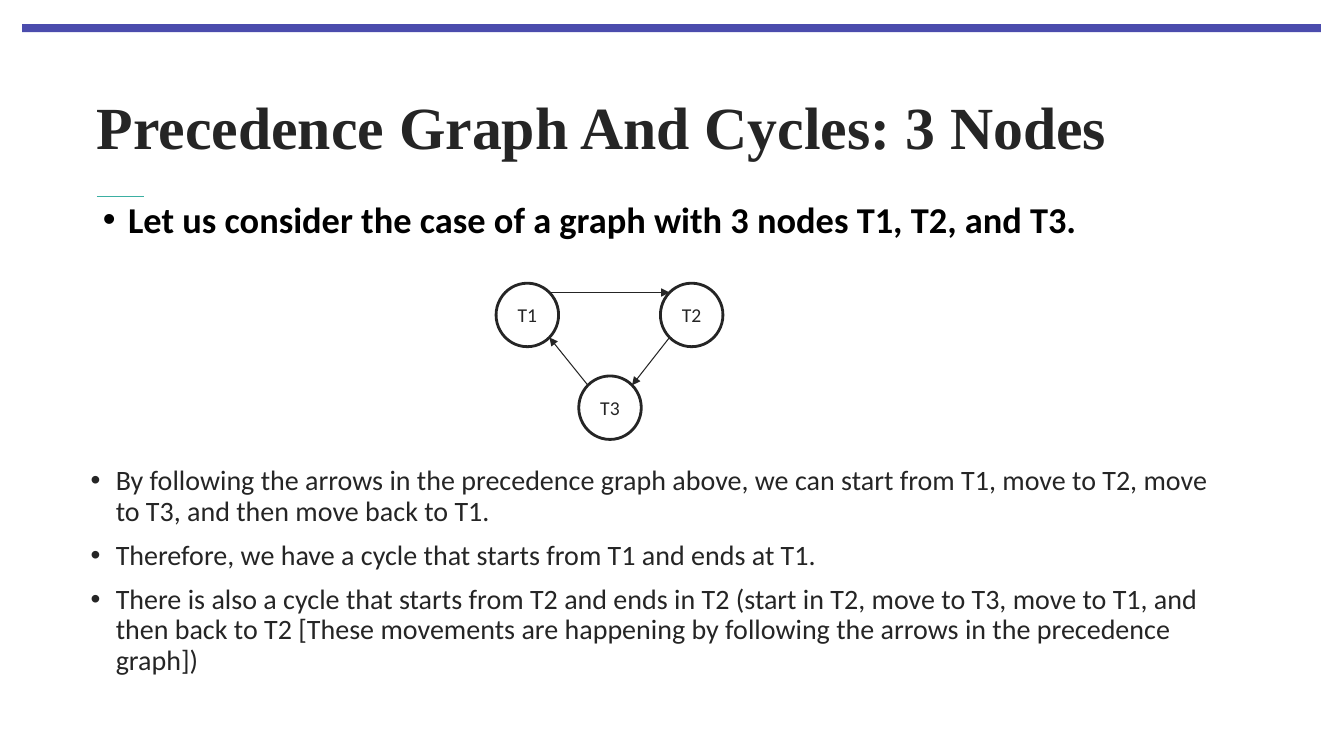
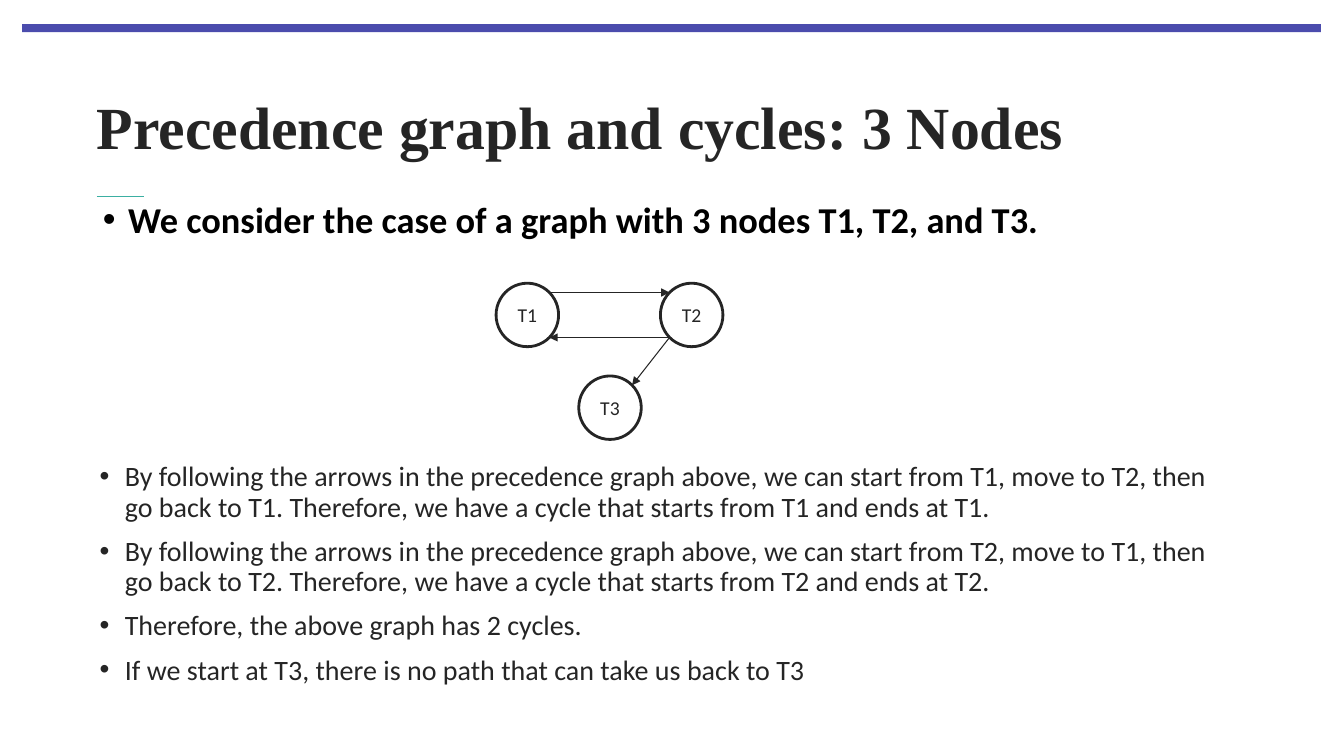
from math import sqrt
from lxml.etree import SubElement
from pptx import Presentation
from pptx.dml.color import RGBColor
from pptx.enum.shapes import MSO_CONNECTOR as Conn, MSO_SHAPE as Shape
from pptx.enum.text import MSO_ANCHOR as Anchor, MSO_AUTO_SIZE as Fit, PP_ALIGN as Align
from pptx.oxml.ns import qn
from pptx.util import Inches, Pt

# Shared colours and fonts
INK = RGBColor(0x25, 0x25, 0x25)
BLACK = RGBColor(0, 0, 0)
BAND = RGBColor(0x4B, 0x4C, 0xAD)
TEAL = RGBColor(0x3B, 0xAF, 0xA2)
HEAD = "Times New Roman"
BODY = "Calibri"

# Graph geometry: node corners, and unit directions from a node's centre
WIDE, HIGH = 0.62, 0.63
NODES = {"T1": (4.92, 2.81), "T2": (6.55, 2.81), "T3": (5.74, 3.73)}
NE, SE, SW, NW = (1, -1), (1, 1), (-1, 1), (-1, -1)

# An edge is start node, its side, end node, its side
TOP = ("T1", NE, "T2", NW)
DOWN = ("T2", SW, "T3", NE)
SLIDES = [
    {
        "title": "Precedence Graph And Cycles: 3 Nodes",
        "lead": "Let us consider the case of a graph with 3 nodes T1, T2, and T3.",
        "edges": [TOP, DOWN, ("T3", NW, "T1", SE)],
        "box": (0.8, 4.58, 11.5, 2.3),
        "notes": [
            "By following the arrows in the precedence graph above, we can start from T1, "
            "move to T2, move to T3, and then move back to T1.",
            "Therefore, we have a cycle that starts from T1 and ends at T1.",
            "There is also a cycle that starts from T2 and ends in T2 (start in T2, move to T3, "
            "move to T1, and then back to T2 [These movements are happening by following "
            "the arrows in the precedence graph])",
        ],
    },
    {
        "title": "Precedence graph and cycles: 3 Nodes",
        "lead": "We consider the case of a graph with 3 nodes T1, T2, and T3.",
        "edges": [TOP, DOWN, ("T2", SW, "T1", SE)],
        "box": (0.89, 4.54, 11.5, 2.28),
        "notes": [
            "By following the arrows in the precedence graph above, we can start from T1, "
            "move to T2, then go back to T1. Therefore, we have a cycle that starts from T1 "
            "and ends at T1.",
            "By following the arrows in the precedence graph above, we can start from T2, "
            "move to T1, then go back to T2. Therefore, we have a cycle that starts from T2 "
            "and ends at T2.",
            "Therefore, the above graph has 2 cycles.",
            "If we start at T3, there is no path that can take us back to T3",
        ],
    },
]


def place(shape, left, top, width, height):
    shape.left, shape.top = Inches(left), Inches(top)
    shape.width, shape.height = Inches(width), Inches(height)


def style(para, size, color=INK, name=BODY, bold=False):
    for run in para.runs:
        font = run.font
        font.size, font.name, font.bold = Pt(size), name, bold
        font.color.rgb = color


def add_line(slide, start, end, color, width, arrow=False):
    points = [Inches(v) for v in (*start, *end)]
    line = slide.shapes.add_connector(Conn.STRAIGHT, *points)
    line.line.color.rgb = color
    line.line.width = Pt(width)
    if arrow:
        SubElement(line.line._get_or_add_ln(), qn("a:tailEnd"), type="triangle")
    SubElement(line._element.spPr, qn("a:effectLst"))


def add_frame(slide):
    """Top band and the short rule under the title."""
    band = slide.shapes.add_shape(Shape.RECTANGLE, 0, 0, 0, 0)
    place(band, 0.22, 0.24, 12.88, 0.08)
    band.shadow.inherit = False
    band.fill.solid()
    band.fill.fore_color.rgb = BAND
    band.line.fill.background()
    add_line(slide, (0.96, 1.95), (1.43, 1.95), TEAL, 0.5)


def set_title(slide, text):
    title = slide.shapes.title
    place(title, 0.96, 0.62, 11.61, 1.25)
    frame = title.text_frame
    frame.text = text
    frame.auto_size, frame.word_wrap = Fit.NONE, True
    frame.vertical_anchor = Anchor.MIDDLE
    frame.margin_left = frame.margin_right = 0
    frame.margin_top = frame.margin_bottom = 0
    para = frame.paragraphs[0]
    para.alignment = Align.LEFT
    style(para, 42.7, name=HEAD, bold=True)


def set_list(shape, items, size, color=INK, bold=False):
    frame = shape.text_frame
    frame.auto_size, frame.word_wrap = Fit.NONE, True
    frame.text = "\n".join(items)
    for para in frame.paragraphs:
        para.line_spacing, para.space_before = 0.9, Pt(10)
        props = para._p.get_or_add_pPr()
        props.set("marL", str(Inches(0.25)))
        props.set("indent", str(-Inches(0.25)))
        SubElement(props, qn("a:buFont"), typeface="Arial")
        SubElement(props, qn("a:buChar"), char="•")
        style(para, size, color, bold=bold)


def set_lead(slide, text):
    lead = slide.placeholders[1]
    place(lead, 0.92, 2, 11.5, 0.63)
    lead.text_frame.margin_top = lead.text_frame.margin_bottom = 0
    set_list(lead, [text], 26, BLACK, bold=True)


def add_node(slide, name):
    node = slide.shapes.add_shape(Shape.OVAL, 0, 0, 0, 0)
    place(node, *NODES[name], WIDE, HIGH)
    node.shadow.inherit = False
    node.fill.background()
    node.line.color.rgb = INK
    node.line.width = Pt(2)
    frame = node.text_frame
    frame.text = name
    frame.word_wrap = False
    frame.vertical_anchor = Anchor.MIDDLE
    para = frame.paragraphs[0]
    para.alignment = Align.CENTER
    style(para, 14)


def rim(name, side):
    """Point on a node's outline, on the given diagonal."""
    left, top = NODES[name]
    return (left + WIDE / 2 * (1 + side[0] / sqrt(2)),
            top + HIGH / 2 * (1 + side[1] / sqrt(2)))


def add_graph(slide, edges):
    for name in NODES:
        add_node(slide, name)
    for tail, out, head, into in edges:
        add_line(slide, rim(tail, out), rim(head, into), INK, 0.75, arrow=True)


def add_notes(slide, box, items):
    text = slide.shapes.add_textbox(0, 0, 0, 0)
    place(text, *box)
    set_list(text, items, 20)


def main():
    deck = Presentation()
    deck.slide_width, deck.slide_height = Inches(13.33), Inches(7.5)
    for data in SLIDES:
        slide = deck.slides.add_slide(deck.slide_layouts[1])
        add_frame(slide)
        set_title(slide, data["title"])
        set_lead(slide, data["lead"])
        add_graph(slide, data["edges"])
        add_notes(slide, data["box"], data["notes"])
    deck.save("out.pptx")


if __name__ == "__main__":
    main()
